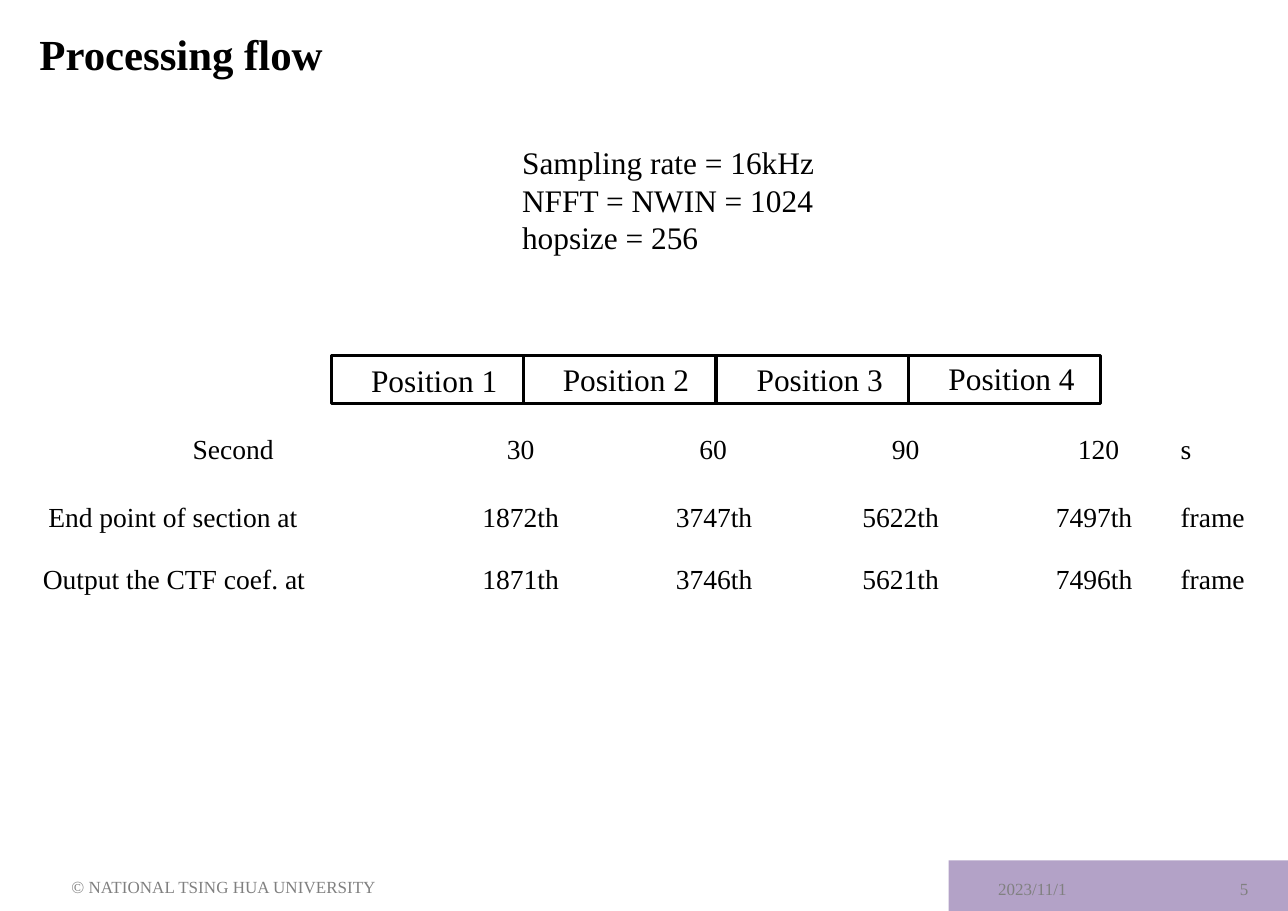
from lxml import etree
from pptx import Presentation
from pptx.dml.color import RGBColor
from pptx.enum.shapes import MSO_SHAPE
from pptx.enum.text import MSO_ANCHOR, MSO_AUTO_SIZE, PP_ALIGN
from pptx.oxml.ns import qn
from pptx.util import Pt

RECTANGLE = MSO_SHAPE.RECTANGLE
TOP, MIDDLE = MSO_ANCHOR.TOP, MSO_ANCHOR.MIDDLE
LEFT, RIGHT = PP_ALIGN.LEFT, PP_ALIGN.RIGHT
GROW = MSO_AUTO_SIZE.SHAPE_TO_FIT_TEXT

FONT = "Times New Roman"
BLACK, GRAY, LILAC = "000000", "808080", "B3A2C7"
SLIDE_WIDTH, SLIDE_HEIGHT = 841.68, 595.44
INSET = 7.2
SECTION_LEFT, SECTION_TOP = 216.7, 232.6
SECTION_WIDTH, SECTION_HEIGHT = 125.6, 31
UNIT_LEFT = 771.6

POSITION_LABELS = [
    ("Position 1", 235.4, 232.6),
    ("Position 2", 360.7, 231.8),
    ("Position 3", 487.4, 231.8),
    ("Position 4", 612.7, 231.1),
]
SECOND_CENTERS = [340.4, 466.2, 592, 718]
FRAME_CENTERS = [340.4, 466.8, 588.7, 715.1]
TIMELINE_ROWS = [
    (118.8, 278.6, SECOND_CENTERS, ["Second", "30", "60", "90", "120", "s"]),
    (24.5, 323.3, FRAME_CENTERS,
     ["End point of section at", "1872th", "3747th", "5622th", "7497th", "frame"]),
    (20.9, 363.6, FRAME_CENTERS,
     ["Output the CTF coef. at", "1871th", "3746th", "5621th", "7496th", "frame"]),
]


def rgb(color):
    return RGBColor.from_string(color)


def add_rectangle(slide, left, top, width, height, fill=None, line=None):
    rectangle = slide.shapes.add_shape(
        RECTANGLE, Pt(left), Pt(top), Pt(width), Pt(height))
    rectangle.shadow.inherit = False
    if fill:
        rectangle.fill.solid()
        rectangle.fill.fore_color.rgb = rgb(fill)
    else:
        rectangle.fill.background()
    if line:
        rectangle.line.color.rgb = rgb(line)
        rectangle.line.width = Pt(2)
    else:
        rectangle.line.fill.background()


def add_text(slide, left, top, width, height, text, size, color=BLACK,
             bold=False, align=LEFT, anchor=TOP, wrap=True):
    box = slide.shapes.add_textbox(Pt(left), Pt(top), Pt(width), Pt(height))
    frame = box.text_frame
    frame.text = text
    frame.word_wrap = wrap
    frame.vertical_anchor = anchor
    if anchor == TOP:
        frame.auto_size = GROW
    for paragraph in frame.paragraphs:
        paragraph.alignment = align
        for run in paragraph.runs:
            run.font.name = FONT
            run.font.size = Pt(size)
            run.font.bold = bold
            run.font.color.rgb = rgb(color)
    return frame.paragraphs[0]


def add_tab_stops(paragraph, stops):
    tab_list = etree.SubElement(
        paragraph._p.get_or_add_pPr(), qn("a:tabLst"))
    for position, align in stops:
        etree.SubElement(tab_list, qn("a:tab"), pos=str(Pt(position)), algn=align)


def add_timeline_row(slide, left, top, centers, cells):
    row = add_text(slide, left, top, SLIDE_WIDTH - left, 28.8, "\t".join(cells), 18)
    text_left = left + INSET
    stops = [(center - text_left, "ctr") for center in centers]
    add_tab_stops(row, stops + [(UNIT_LEFT - text_left, "l")])


def add_sections(slide):
    for index in range(len(POSITION_LABELS)):
        add_rectangle(slide, SECTION_LEFT + index * SECTION_WIDTH, SECTION_TOP,
                      SECTION_WIDTH, SECTION_HEIGHT, line=BLACK)
    for label, left, top in POSITION_LABELS:
        add_text(slide, left, top, 97.9, 32.4, label, 20.5, wrap=False)


def add_footer(slide):
    add_text(slide, 645.1, 566.6, 99.4, 28.1, "2023/11/1", 11.1, GRAY, anchor=MIDDLE)
    add_text(slide, 39.6, 565.2, 229.7, 28.1, "© NATIONAL TSING HUA UNIVERSITY",
             11.1, GRAY, anchor=MIDDLE)
    add_text(slide, 757.4, 566.6, 65.5, 28.1, "5", 11.1, GRAY,
             align=RIGHT, anchor=MIDDLE)


def main():
    presentation = Presentation()
    presentation.slide_width = Pt(SLIDE_WIDTH)
    presentation.slide_height = Pt(SLIDE_HEIGHT)
    slide = presentation.slides.add_slide(presentation.slide_layouts[6])

    add_rectangle(slide, 619.92, 562.3, SLIDE_WIDTH - 619.92,
                  SLIDE_HEIGHT - 562.3, fill=LILAC)
    title = add_text(slide, 18.7, 8.6, 560.9, 49.7, "Processing flow", 28,
                     bold=True, anchor=MIDDLE)
    title.line_spacing = Pt(36.9)
    add_footer(slide)
    add_sections(slide)
    add_text(slide, 334.1, 90, 208.1, 82.1,
             "Sampling rate = 16kHz\nNFFT = NWIN = 1024\nhopsize = 256",
             20.5, wrap=False)
    for left, top, centers, cells in TIMELINE_ROWS:
        add_timeline_row(slide, left, top, centers, cells)

    presentation.save("out.pptx")


if __name__ == "__main__":
    main()
